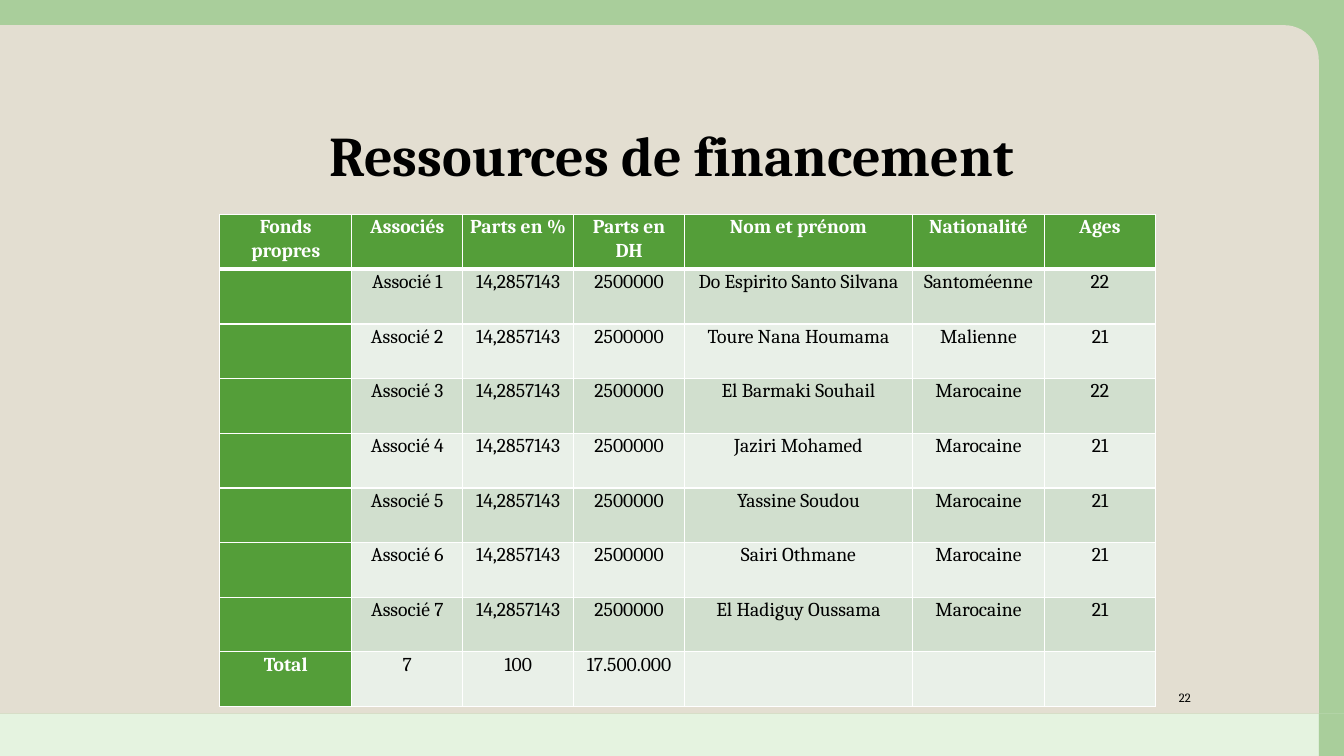
"""Build the slide on funding sources with its table of partners."""
import pptx
import pptx.util
import pptx.dml.color
import pptx.enum.shapes
import pptx.enum.text
import pptx.oxml.ns
import lxml.etree

TITLE = "Ressources de financement"
PAGE = "22"
HEAD = ["Fonds propres", "Associés", "Parts en %", "Parts en DH",
        "Nom et prénom", "Nationalité", "Ages"]
PEOPLE = [
    ("Do Espirito Santo Silvana", "Santoméenne", "22"),
    ("Toure Nana Houmama", "Malienne", "21"),
    ("El Barmaki Souhail", "Marocaine", "22"),
    ("Jaziri Mohamed", "Marocaine", "21"),
    ("Yassine Soudou", "Marocaine", "21"),
    ("Sairi Othmane", "Marocaine", "21"),
    ("El Hadiguy Oussama", "Marocaine", "21"),
]
SHARE = ("14,2857143", "2500000")
TOTAL = ["Total", "7", "100", "17.500.000", "", "", ""]

FONT = "Cambria"
HUES = {"green": "549E39", "mint": "DBEFD4", "sand": "E3DED1", "odd": "D1DFCE",
        "even": "E9F0E8", "white": "FFFFFF", "black": "000000"}
WIDE, HIGH = 13.33, 7.5
EDGE, FLOOR, TOP = 13.08, 7.08, 0.25
COLS = [1.31, 1.1, 1.1, 1.1, 2.26, 1.31, 1.1]
ROW = 4.88 / 9
LEFT, START = 2.18, 2.13
BANDS = [
    ("RECTANGLE", (0, FLOOR, EDGE, HIGH - FLOOR), "mint", 70),
    ("RECTANGLE", (EDGE, FLOOR, WIDE - EDGE, HIGH - FLOOR), "green", 50),
    ("RECTANGLE", (0, 0, WIDE, FLOOR), "green", 50),
    ("ROUND_1_RECTANGLE", (0, TOP, EDGE, FLOOR - TOP), "sand", 100),
]
ALIGN = pptx.enum.text.PP_ALIGN
ANCHOR = pptx.enum.text.MSO_ANCHOR
inch = pptx.util.Inches


def hue(name):
    return pptx.dml.color.RGBColor.from_string(HUES[name])


def write(frame, text, size, ink, bold=False, align=ALIGN.CENTER, space=None):
    par = frame.paragraphs[0]
    par.alignment = align
    if space:
        par.line_spacing = space
    run = par.add_run()
    run.text = text
    font = run.font
    font.name, font.size, font.bold = FONT, pptx.util.Pt(size), bold
    font.color.rgb = hue(ink)


def band(slide, kind, box, ink, alpha):
    form = getattr(pptx.enum.shapes.MSO_SHAPE, kind)
    shape = slide.shapes.add_shape(form, *map(inch, box))
    shape.shadow.inherit = False
    shape.line.fill.background()
    shape.fill.solid()
    shape.fill.fore_color.rgb = hue(ink)
    if alpha < 100:
        tint = shape.fill.fore_color._xFill.find(pptx.oxml.ns.qn("a:srgbClr"))
        lxml.etree.SubElement(tint, pptx.oxml.ns.qn("a:alpha"), val=str(alpha * 1000))
    if kind == "ROUND_1_RECTANGLE":
        shape.adjustments[0] = 0.05


def label(slide, box, anchor, *args, **more):
    frame = slide.shapes.add_textbox(*map(inch, box)).text_frame
    frame.word_wrap = True
    frame.vertical_anchor = anchor
    write(frame, *args, **more)
    return frame


def rule(cell, side, width):
    qn = pptx.oxml.ns.qn
    line = lxml.etree.SubElement(cell._tc.get_or_add_tcPr(), qn("a:ln" + side),
                                 w=str(pptx.util.Pt(width)))
    fill = lxml.etree.SubElement(line, qn("a:solidFill"))
    lxml.etree.SubElement(fill, qn("a:srgbClr"), val=HUES["white"])


def grid(slide):
    rows = [HEAD]
    for num, person in enumerate(PEOPLE, 1):
        rows.append(["", f"Associé {num}", *SHARE, *person])
    rows.append(TOTAL)
    box = (LEFT, START, sum(COLS), ROW * len(rows))
    table = slide.shapes.add_table(len(rows), len(COLS), *map(inch, box)).table
    for col, width in zip(table.columns, COLS):
        col.width = inch(width)
    for r, texts in enumerate(rows):
        table.rows[r].height = inch(ROW)
        for c, text in enumerate(texts):
            cell = table.cell(r, c)
            key = r == 0 or c == 0
            for side in "LRTB":
                thick = (r, side) in ((0, "B"), (1, "T"))
                rule(cell, side, 3 if thick else 1)
            cell.fill.solid()
            cell.fill.fore_color.rgb = hue("green" if key else "odd" if r % 2 else "even")
            if text:
                cell.margin_left = cell.margin_right = inch(0.07)
                cell.margin_top = cell.margin_bottom = 0
                write(cell.text_frame, text, 14, "white" if key else "black",
                      bold=key, space=1.07)


def main():
    deck = pptx.Presentation()
    deck.slide_width, deck.slide_height = inch(WIDE), inch(HIGH)
    slide = deck.slides.add_slide(deck.slide_layouts[6])
    for item in BANDS:
        band(slide, *item)
    label(slide, (1.41, 0.62, 10.5, 1.3), ANCHOR.BOTTOM, TITLE, 40, "black",
          bold=True, space=0.9)
    grid(slide)
    foot = label(slide, (11.08, 6.83, 0.83, 0.17), ANCHOR.MIDDLE, PAGE, 9, "black",
                 align=ALIGN.RIGHT)
    foot.margin_top = foot.margin_bottom = 0
    deck.save("out.pptx")


if __name__ == "__main__":
    main()
